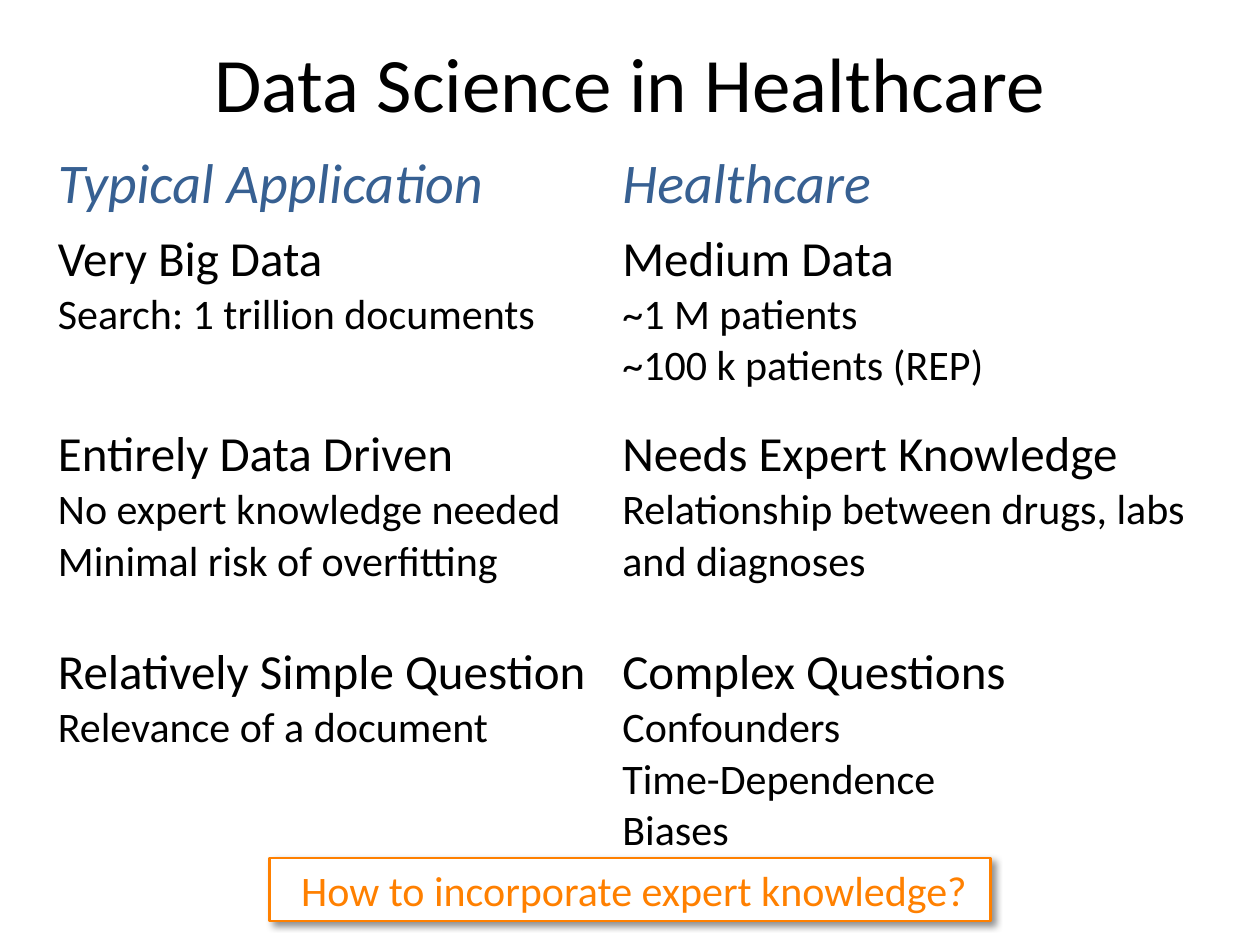
from lxml.etree import SubElement
from pptx import Presentation
from pptx.dml.color import RGBColor
from pptx.enum.shapes import MSO_SHAPE
from pptx.enum.text import MSO_ANCHOR, PP_ALIGN
from pptx.oxml.ns import qn
from pptx.util import Inches, Pt

TITLE = "Data Science in Healthcare"
QUESTION = "How to incorporate expert knowledge?"
HEADERS = ["Typical Application", "Healthcare"]
COMPARISONS = [
    (["Very Big Data", "Search: 1 trillion documents"],
     ["Medium Data", "~1 M patients", "~100 k patients (REP)"]),
    (["Entirely Data Driven", "No expert knowledge needed", "Minimal risk of overfitting"],
     ["Needs Expert Knowledge", "Relationship between drugs, labs and diagnoses"]),
    (["Relatively Simple Question", "Relevance of a document"],
     ["Complex Questions", "Confounders", "Time-Dependence", "Biases"]),
]
COLUMN_WIDTHS = [4.48, 4.73]
ROW_HEIGHTS = [0.53, 1.55, 1.73, 1.61]

BLACK = RGBColor(0x00, 0x00, 0x00)
BLUE = RGBColor(0x37, 0x60, 0x92)
ORANGE = RGBColor(0xFF, 0x80, 0x00)
WHITE = RGBColor(0xFF, 0xFF, 0xFF)
THEME = {
    "title": {"size": Pt(44), "color": BLACK},
    "header": {"size": Pt(32), "color": BLUE, "italic": True},
    "topic": {"size": Pt(28), "color": BLACK},
    "detail": {"size": Pt(24), "color": BLACK},
    "question": {"size": Pt(24), "color": ORANGE},
}


def write_lines(frame, lines, align=PP_ALIGN.LEFT):
    for index, (text, style) in enumerate(lines):
        para = frame.add_paragraph() if index else frame.paragraphs[0]
        para.alignment = align
        span = para.add_run()
        span.text = text
        span.font.name = "Calibri"
        for name, value in THEME[style].items():
            if name == "color":
                span.font.color.rgb = value
            else:
                setattr(span.font, name, value)


def add_title(page):
    box = page.shapes.add_textbox(Inches(0.5), Inches(0.02), Inches(9), Inches(1.25))
    frame = box.text_frame
    frame.word_wrap = True
    frame.vertical_anchor = MSO_ANCHOR.MIDDLE
    write_lines(frame, [(TITLE, "title")], PP_ALIGN.CENTER)


def add_comparison(page):
    rows = [[[(text, "header")] for text in HEADERS]]
    for pair in COMPARISONS:
        rows.append([[(topic, "topic")] + [(text, "detail") for text in details]
                     for topic, *details in pair])
    table = page.shapes.add_table(
        len(rows), len(HEADERS), Inches(0.36), Inches(1.14),
        Inches(sum(COLUMN_WIDTHS)), Inches(sum(ROW_HEIGHTS))).table
    table.first_row = table.horz_banding = False
    for column, width in zip(table.columns, COLUMN_WIDTHS):
        column.width = Inches(width)
    for row, height, contents in zip(table.rows, ROW_HEIGHTS, rows):
        row.height = Inches(height)
        for cell, lines in zip(row.cells, contents):
            cell.fill.background()
            write_lines(cell.text_frame, lines)


def add_shadow(shape):
    shape.shadow.inherit = False
    effects = shape.fill._xPr.find(qn("a:effectLst"))
    shadow = SubElement(effects, qn("a:outerShdw"), blurRad=str(Pt(4)),
                        dist=str(Pt(3)), dir="2700000", algn="tl", rotWithShape="0")
    color = SubElement(shadow, qn("a:srgbClr"), val="000000")
    SubElement(color, qn("a:alpha"), val="43000")


def add_question(page):
    box = page.shapes.add_shape(
        MSO_SHAPE.RECTANGLE, Inches(2.14), Inches(6.81), Inches(5.72), Inches(0.5))
    box.fill.solid()
    box.fill.fore_color.rgb = WHITE
    box.line.color.rgb = ORANGE
    box.line.width = Pt(1.5)
    add_shadow(box)
    frame = box.text_frame
    frame.word_wrap = True
    frame.margin_left = Inches(0.25)
    frame.vertical_anchor = MSO_ANCHOR.TOP
    write_lines(frame, [(QUESTION, "question")])


def main():
    deck = Presentation()
    deck.slide_width, deck.slide_height = Inches(10), Inches(7.5)
    page = deck.slides.add_slide(deck.slide_layouts[6])
    add_title(page)
    add_comparison(page)
    add_question(page)
    deck.save("out.pptx")


if __name__ == "__main__":
    main()
